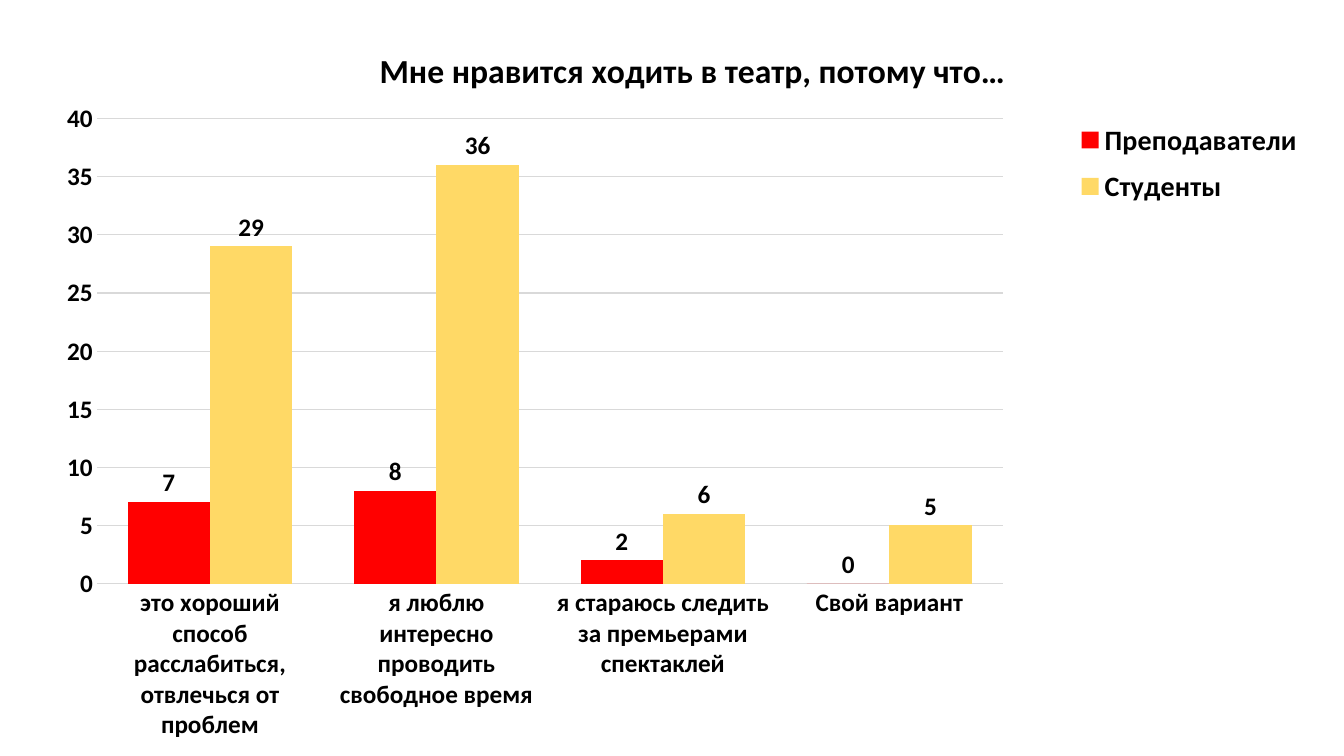
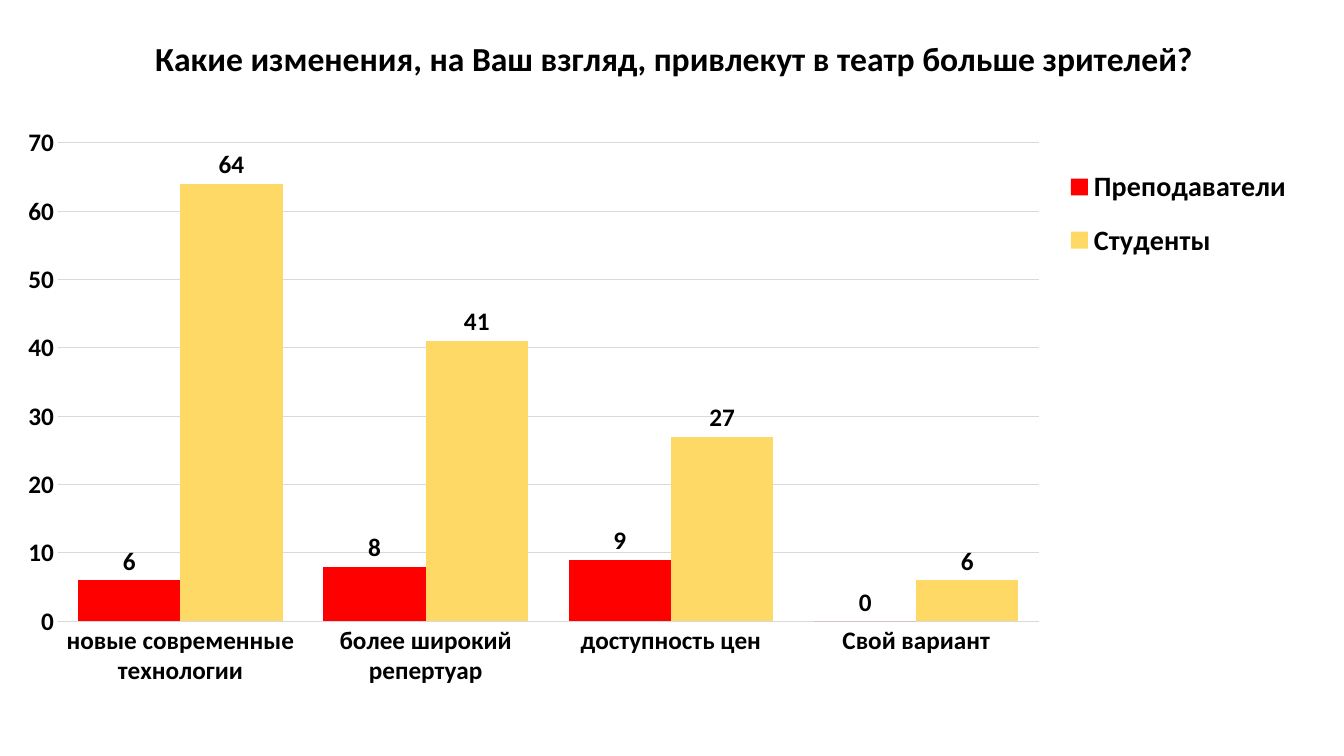
from lxml import etree
from pptx import Presentation
from pptx.chart.data import CategoryChartData
from pptx.dml.color import RGBColor
from pptx.enum.chart import (
    XL_CHART_TYPE, XL_LABEL_POSITION, XL_LEGEND_POSITION, XL_TICK_MARK)
from pptx.oxml.ns import qn
from pptx.util import Inches, Pt

COLUMNS = XL_CHART_TYPE.COLUMN_CLUSTERED
OUTSIDE = XL_LABEL_POSITION.OUTSIDE_END
RIGHT = XL_LEGEND_POSITION.RIGHT
NO_TICK = XL_TICK_MARK.NONE

FONT = "Calibri"
COLORS = {"text": "000000", "grid": "D9D9D9",
          "staff": "FF0000", "students": "FFD966"}
GROUPS = {"staff": "Преподаватели", "students": "Студенты"}
WIDTH, HEIGHT = Inches(13.33), Inches(7.5)

SURVEYS = [
    {
        "title": "Мне нравится ходить в театр, потому что…",
        "answers": ["это хороший способ расслабиться, отвлечься от проблем",
                    "я люблю интересно проводить свободное время",
                    "я стараюсь следить за премьерами спектаклей",
                    "Свой вариант"],
        "staff": [7, 8, 2, 0],
        "students": [29, 36, 6, 5],
        "top": 40, "step": 5, "gap": 75,
        "places": {"c:title": (0.278, 0.055),
                   "c:plotArea": (0.072, 0.157, 0.674, 0.615),
                   "c:legend": (0.79, 0.147, 0.19, 0.138)},
    },
    {
        "title": "Какие изменения, на Ваш взгляд, привлекут в театр больше зрителей?",
        "answers": ["новые современные технологии",
                    "более широкий репертуар",
                    "доступность цен",
                    "Свой вариант"],
        "staff": [6, 8, 9, 0],
        "students": [64, 41, 27, 6],
        "top": 70, "step": 10, "gap": 40,
        "places": {"c:title": (0.111, 0.04),
                   "c:plotArea": (0.043, 0.189, 0.73, 0.633),
                   "c:legend": (0.782, 0.2, 0.19, 0.165)},
    },
]


def color(name):
    return RGBColor.from_string(COLORS[name])


def set_font(font, size, bold=True):
    font.name, font.size, font.bold = FONT, Pt(size), bold
    font.color.rgb = color("text")


def set_line(line):
    line.color.rgb, line.width = color("grid"), Pt(0.75)


def place(part, box):
    """Give a chart part a manual layout, in fractions of the chart."""
    for old in part.findall(qn("c:layout")):
        part.remove(old)
    layout = etree.Element(qn("c:layout"))
    manual = etree.SubElement(layout, qn("c:manualLayout"))
    rules = [("xMode", "edge"), ("yMode", "edge"), *zip("xywh", box)]
    if part.tag == qn("c:plotArea"):
        rules.insert(0, ("layoutTarget", "inner"))
    for tag, value in rules:
        etree.SubElement(manual, qn("c:" + tag)).set("val", str(value))
    overlay = part.find(qn("c:overlay"))
    if overlay is None:
        part.insert(0, layout)
    else:
        overlay.addprevious(layout)


def style_axes(chart, top, step):
    answers, counts = chart.category_axis, chart.value_axis
    for axis in (answers, counts):
        axis.major_tick_mark = axis.minor_tick_mark = NO_TICK
        set_font(axis.tick_labels.font, 18)
    set_line(answers.format.line)
    counts.format.line.fill.background()
    counts.has_major_gridlines = True
    set_line(counts.major_gridlines.format.line)
    counts.minimum_scale, counts.maximum_scale = 0, top
    counts.major_unit = step


def style_bars(plot, gap):
    plot.gap_width, plot.overlap = gap, 0
    plot.vary_by_categories = False
    for group, bars in zip(GROUPS, plot.series):
        bars.invert_if_negative = False
        bars.format.fill.solid()
        bars.format.fill.fore_color.rgb = color(group)
        labels = bars.data_labels
        labels.show_value, labels.position = True, OUTSIDE
        set_font(labels.font, 18)


def add_survey(slide, survey, left, top, width, height):
    data = CategoryChartData(number_format="General")
    data.categories = survey["answers"]
    for group, name in GROUPS.items():
        data.add_series(name, survey[group])
    chart = slide.shapes.add_chart(
        COLUMNS, left, top, width, height, data).chart
    set_font(chart.font, 10, bold=False)

    chart.has_title = True
    title = chart.chart_title.text_frame
    title.text = survey["title"]
    set_font(title.paragraphs[0].font, 24)

    chart.has_legend = True
    chart.legend.position = RIGHT
    chart.legend.include_in_layout = False
    set_font(chart.legend.font, 20)

    style_axes(chart, survey["top"], survey["step"])
    style_bars(chart.plots[0], survey["gap"])
    for tag, box in survey["places"].items():
        place(chart.element.find(f"{qn('c:chart')}/{qn(tag)}")
              if hasattr(chart, "element")
              else chart._chartSpace.find(f"{qn('c:chart')}/{qn(tag)}"), box)


def main():
    deck = Presentation()
    deck.slide_width, deck.slide_height = WIDTH, HEIGHT
    blank = deck.slide_layouts[6]
    for survey in SURVEYS:
        add_survey(deck.slides.add_slide(blank), survey, 0, 0, WIDTH, HEIGHT)
    deck.save("out.pptx")


if __name__ == "__main__":
    main()
